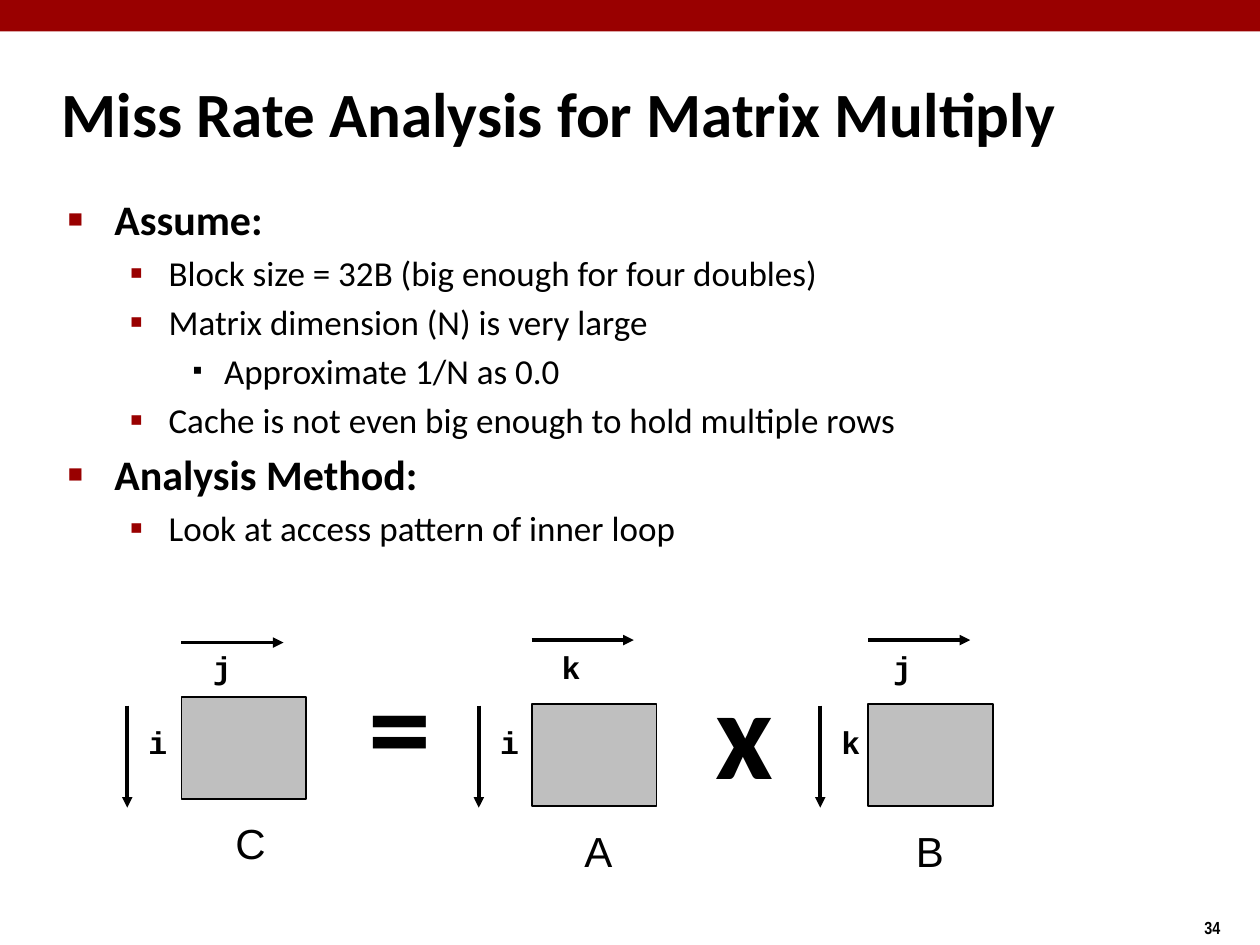
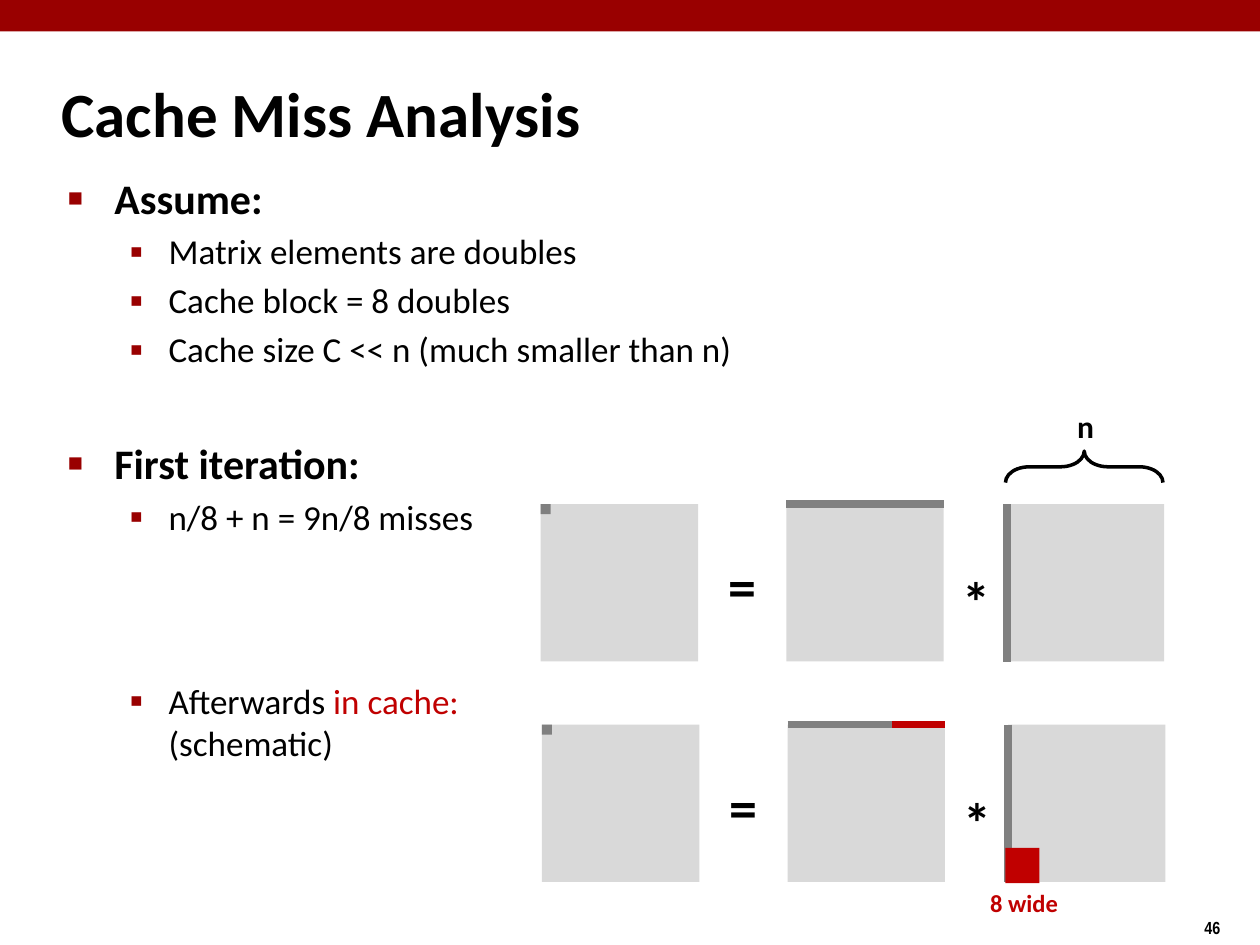
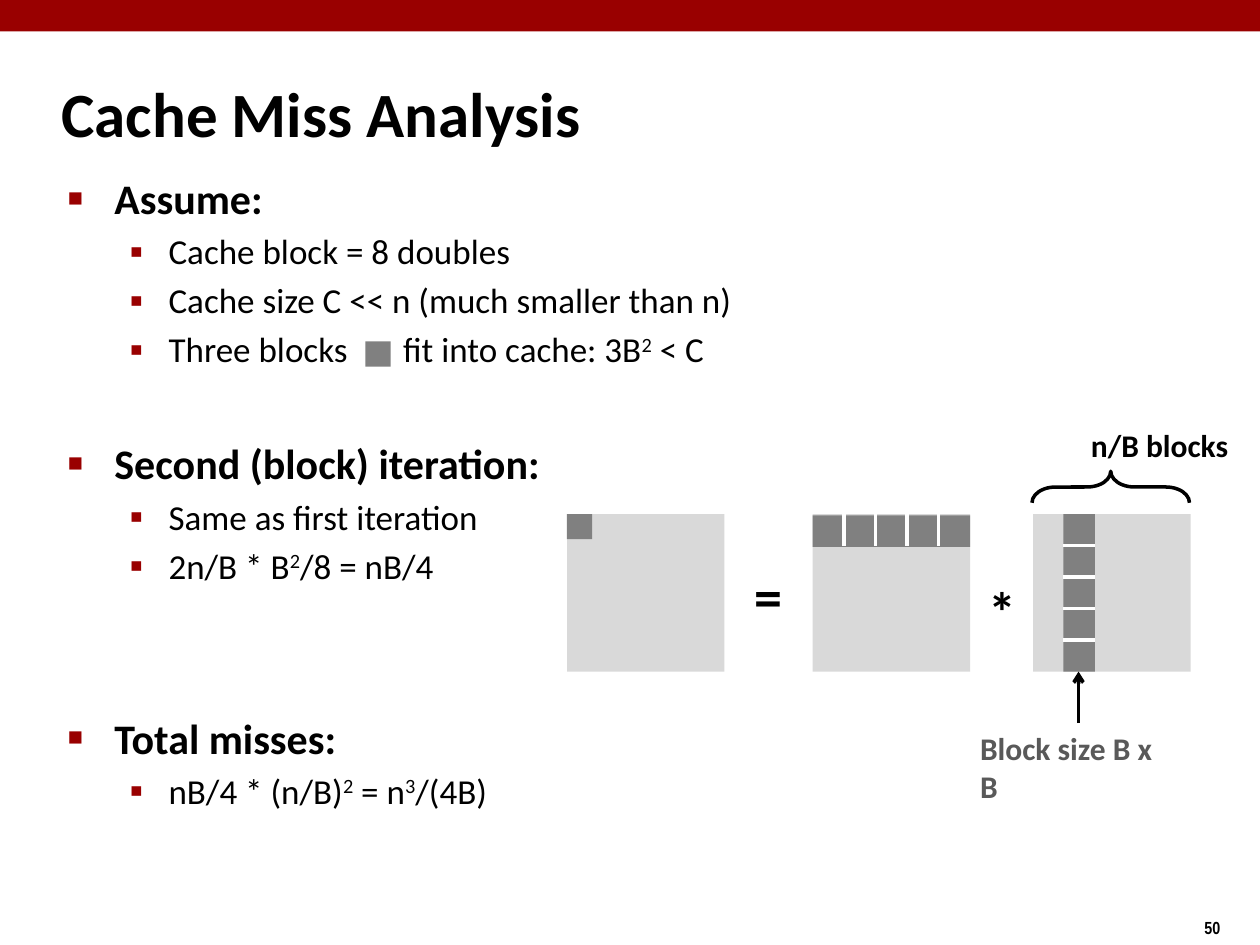
from lxml.etree import SubElement
from pptx import Presentation
from pptx.dml.color import RGBColor
from pptx.enum.shapes import MSO_CONNECTOR, MSO_SHAPE
from pptx.enum.text import MSO_ANCHOR, MSO_AUTO_SIZE
from pptx.oxml.ns import qn
from pptx.util import Pt

PX = 9144

DARK_RED = RGBColor(0x99, 0x00, 0x00)
RED = RGBColor(0xC0, 0x00, 0x00)
BLACK = RGBColor(0x00, 0x00, 0x00)
WHITE = RGBColor(0xFF, 0xFF, 0xFF)
SILVER = RGBColor(0xBF, 0xBF, 0xBF)
LIGHT_GRAY = RGBColor(0xD9, 0xD9, 0xD9)
GRAY = RGBColor(0x80, 0x80, 0x80)
SLATE = RGBColor(0x59, 0x59, 0x59)

TITLE = {"name": "Calibri", "size": Pt(36), "bold": True, "color": BLACK}
NUMBER = {"name": "Arial Narrow", "size": Pt(10), "bold": True, "color": BLACK}
HEADING = {"name": "Calibri", "size": Pt(24), "bold": True, "color": BLACK}
POINT = {"name": "Calibri", "size": Pt(20), "bold": False, "color": BLACK}
MATRIX_NAME = {"name": "Arial", "size": Pt(24), "color": BLACK}
INDEX = {"name": "Courier New", "size": Pt(18), "bold": True, "color": BLACK}
BIG_OPERATOR = {**TITLE, "size": Pt(72)}
OPERATOR = {**TITLE, "size": Pt(32)}
CAPTION = {**TITLE, "size": Pt(18)}
SMALL_CAPTION = {**TITLE, "size": Pt(14), "color": RED}

LEVELS = [
    {"font": HEADING, "margin": 38, "indent": -37, "before": 4.8,
     "bullet": "■", "color": DARK_RED, "percent": 60},
    {"font": POINT, "margin": 81, "indent": -31, "before": 4,
     "bullet": "▪", "color": DARK_RED, "percent": 110},
    {"font": POINT, "margin": 125, "indent": -25, "before": 4,
     "bullet": "▪", "color": BLACK, "percent": 80},
]
SUPERSCRIPT = {"baseline": 30000}
WIDE_SPACE = (" ", {"spc": 2710})
SQUARED = ("2", SUPERSCRIPT)
SECTION_GAP = 38.9

SIDE = 125
FACTOR_OFFSET = 195
SECOND_FACTOR_OFFSET = 370
BLOCK = 25


def to_emu(lengths):
    """Turn px lengths into EMU."""
    return [length * PX for length in lengths]


def set_format(font, values):
    """Apply a dict of character format values."""
    for key, value in values.items():
        if key == "color":
            font.color.rgb = value
        elif key in ("baseline", "spc"):
            font._element.set(key, str(value))
        else:
            setattr(font, key, value)


def add_block(slide, box, fill=None, line=None, width=1, kind=MSO_SHAPE.RECTANGLE):
    """Add a flat preset shape."""
    shape = slide.shapes.add_shape(kind, *to_emu(box))
    shape.shadow.inherit = False
    if fill is None:
        shape.fill.background()
    else:
        shape.fill.solid()
        shape.fill.fore_color.rgb = fill
    if line is None:
        shape.line.fill.background()
    else:
        shape.line.color.rgb = line
        shape.line.width = Pt(width)
    return shape


def add_line(slide, points, color=BLACK, width=2, head=None):
    """Add a straight connector with an optional arrowhead at its end."""
    connector = slide.shapes.add_connector(MSO_CONNECTOR.STRAIGHT, *to_emu(points))
    connector.line.color.rgb = color
    connector.line.width = Pt(width)
    properties = connector._element.spPr
    if head:
        SubElement(properties.find(qn("a:ln")), qn("a:tailEnd"), type=head)
    SubElement(properties, qn("a:effectLst"))


def add_label(slide, text, box, font, wrap=False):
    """Add a one-line text box that fits its text."""
    shape = slide.shapes.add_textbox(*to_emu(box))
    frame = shape.text_frame
    frame.word_wrap = wrap
    frame.auto_size = MSO_AUTO_SIZE.SHAPE_TO_FIT_TEXT
    run = frame.paragraphs[0].add_run()
    run.text = text
    set_format(run.font, font)


def add_brace(slide, left, top):
    """Add an upward brace over a square."""
    height = 25
    inset = (SIDE - height) // 2
    box = (left + inset, top - inset, height, SIDE)
    brace = add_block(slide, box, line=BLACK, width=2, kind=MSO_SHAPE.LEFT_BRACE)
    brace.rotation = 90
    brace.adjustments[0] = 0.75
    brace.adjustments[1] = 0.5


def add_title(slide, text):
    """Add the slide title."""
    shape = slide.shapes.add_textbox(*to_emu((39, 48, 830, 83)))
    frame = shape.text_frame
    frame.word_wrap = True
    frame.vertical_anchor = MSO_ANCHOR.MIDDLE
    run = frame.paragraphs[0].add_run()
    run.text = text
    set_format(run.font, TITLE)


def add_bullet(paragraph, style):
    """Give a paragraph the indent and bullet of its level."""
    properties = paragraph._p.get_or_add_pPr()
    properties.set("marL", str(style["margin"] * PX))
    properties.set("indent", str(style["indent"] * PX))
    color = SubElement(properties, qn("a:buClr"))
    SubElement(color, qn("a:srgbClr"), val=str(style["color"]))
    SubElement(properties, qn("a:buSzPct"), val=str(style["percent"] * 1000))
    SubElement(properties, qn("a:buFont"), typeface="Arial")
    SubElement(properties, qn("a:buChar"), char=style["bullet"])


def add_body(slide, box, items):
    """Add the outline from rows of level, runs and optional space before."""
    frame = slide.shapes.add_textbox(*to_emu(box)).text_frame
    frame.word_wrap = True
    for index, (level, runs, *before) in enumerate(items):
        paragraph = frame.add_paragraph() if index else frame.paragraphs[0]
        style = LEVELS[level]
        paragraph.level = level
        add_bullet(paragraph, style)
        if index:
            paragraph.space_before = Pt(before[0] if before else style["before"])
        for part in [runs] if isinstance(runs, str) else runs:
            text, extra = (part, {}) if isinstance(part, str) else part
            if text == "\n":
                paragraph.add_line_break()
                continue
            run = paragraph.add_run()
            run.text = text
            set_format(run.font, {**style["font"], **extra})


def add_slide(presentation, title, number):
    """Add a blank slide with the band, page number and title."""
    slide = presentation.slides.add_slide(presentation.slide_layouts[6])
    add_block(slide, (0, 0, 1000, 25), DARK_RED)
    add_label(slide, number, (946, 723, 75, 27), NUMBER)
    add_title(slide, title)
    return slide


def add_index(slide, text, left, top):
    """Add a loop index label on white."""
    add_block(slide, (left, top, 35, 40), WHITE)
    add_label(slide, text, (left, top, 35, 40), INDEX)


def add_matrix(slide, name, left, top, arrow_top, gutter, across, down):
    """Add a named matrix with its two index arrows."""
    down_left = left - gutter
    add_index(slide, across, left + gutter - 28, 509)
    add_index(slide, down, down_left + 7, 569)
    add_block(slide, (left, top, 99, 81), SILVER, BLACK)
    add_label(slide, name, (left + gutter - 10, top + 91, 42, 50), MATRIX_NAME)
    add_line(slide, (left, arrow_top, left + 81, arrow_top), head="triangle")
    add_line(slide, (down_left, 560, down_left, 641), head="triangle")


def add_product(slide, left, top, mark):
    """Add three squares as a product with a marked first element."""
    for offset in (0, FACTOR_OFFSET, SECOND_FACTOR_OFFSET):
        add_block(slide, (left + offset, top, SIDE, SIDE), LIGHT_GRAY)
    add_label(slide, "=", (left + 139, top + 33, 42, 63), OPERATOR)
    add_label(slide, "*", (left + 325, top + 45, 42, 63), OPERATOR)
    add_block(slide, (left, top, mark, mark), GRAY)


def add_element_product(slide, left, top):
    """Add a product whose factors show one row and one column."""
    add_product(slide, left, top, 8)
    row = left + FACTOR_OFFSET
    column = left + SECOND_FACTOR_OFFSET
    add_line(slide, (row, top, row + SIDE, top), GRAY, 4.5)
    add_line(slide, (column, top, column, top + SIDE), GRAY, 4.5)


def add_cached_parts(slide, left, top):
    """Mark the parts of a product that stay in the cache."""
    row_end = left + FACTOR_OFFSET + SIDE
    column = left + SECOND_FACTOR_OFFSET
    add_line(slide, (row_end - 42, top, row_end, top), RED, 4.5)
    add_block(slide, (column - 2, top + 98, 27, 28), RED)
    add_label(slide, "8 wide", (column - 24, top + SIDE, 74, 33), SMALL_CAPTION)


def add_block_product(slide, left, top):
    """Add a product whose factors show a row and a column of blocks."""
    add_product(slide, left, top, 20)
    row = left + FACTOR_OFFSET
    column = left + SECOND_FACTOR_OFFSET + BLOCK - 1
    add_block(slide, (row, top + 1, SIDE, BLOCK), GRAY)
    add_block(slide, (column, top, BLOCK, SIDE), GRAY)
    for step in range(BLOCK, SIDE, BLOCK):
        add_line(slide, (row + step, top, row + step, top + BLOCK), WHITE)
        add_line(slide, (column + BLOCK, top + step, column, top + step), WHITE)
    bottom = top + SIDE
    middle = column + 12
    add_label(slide, "Block size B x B", (column - 76, bottom + 41, 176, 40),
              {**CAPTION, "color": SLATE})
    add_line(slide, (middle, bottom + 41, middle, bottom), head="arrow")


def build_miss_rate(presentation):
    """Build the miss rate slide."""
    slide = add_slide(presentation, "Miss Rate Analysis for Matrix Multiply", "34")
    add_body(slide, (43, 149, 864, 544), [
        (0, "Assume:"),
        (1, "Block size = 32B (big enough for four doubles)"),
        (1, "Matrix dimension (N) is very large"),
        (2, "Approximate 1/N as 0.0"),
        (1, "Cache is not even big enough to hold multiple rows"),
        (0, "Analysis Method:"),
        (1, "Look at access pattern of inner loop"),
    ])
    for matrix in [
        ("C", 144, 553, 510, 43, "j", "i"),
        ("A", 422, 559, 508, 42, "k", "i"),
        ("B", 689, 559, 508, 38, "j", "k"),
    ]:
        add_matrix(slide, *matrix)
    add_label(slide, "=", (283, 508, 58, 130), BIG_OPERATOR, wrap=True)
    add_label(slide, "x", (558, 514, 58, 130), BIG_OPERATOR, wrap=True)


def build_first_iteration(presentation):
    """Build the slide on the first iteration."""
    slide = add_slide(presentation, "Cache Miss Analysis", "46")
    add_body(slide, (43, 132, 864, 334), [
        (0, "Assume:"),
        (1, "Matrix elements are doubles"),
        (1, "Cache block = 8 doubles"),
        (1, "Cache size C << n (much smaller than n)"),
        (0, "First iteration:", SECTION_GAP),
        (1, "n/8 + n = 9n/8 misses"),
        (1, ["Afterwards ", ("in cache:", {"color": RED}), "\n", "(schematic)"], 81.2),
    ])
    add_element_product(slide, 429, 400)
    add_brace(slide, 798, 358)
    add_label(slide, "n", (845, 318, 33, 40), CAPTION)
    add_element_product(slide, 430, 575)
    add_cached_parts(slide, 430, 575)


def build_block_iteration(presentation):
    """Build the slide on the second block iteration."""
    slide = add_slide(presentation, "Cache Miss Analysis", "50")
    add_body(slide, (43, 132, 864, 584), [
        (0, "Assume:"),
        (1, "Cache block = 8 doubles"),
        (1, "Cache size C << n (much smaller than n)"),
        (1, ["Three blocks", WIDE_SPACE, "fit into cache: 3B", SQUARED, " < C"]),
        (0, "Second (block) iteration:", SECTION_GAP),
        (1, "Same as first iteration"),
        (1, ["2n/B * B", SQUARED, "/8 = nB/4"]),
        (0, "Total misses:", 71.8),
        (1, ["nB/4 * (n/B)", SQUARED, " = n", ("3", SUPERSCRIPT), "/(4B)"]),
    ])
    add_block_product(slide, 450, 408)
    add_block(slide, (290, 271, 20, 20), GRAY)
    add_brace(slide, 819, 374)
    add_label(slide, "n/B blocks", (856, 333, 129, 40), CAPTION)


def main():
    """Build and save the presentation."""
    presentation = Presentation()
    presentation.slide_width, presentation.slide_height = to_emu((1000, 750))
    build_miss_rate(presentation)
    build_first_iteration(presentation)
    build_block_iteration(presentation)
    presentation.save("out.pptx")


if __name__ == "__main__":
    main()
